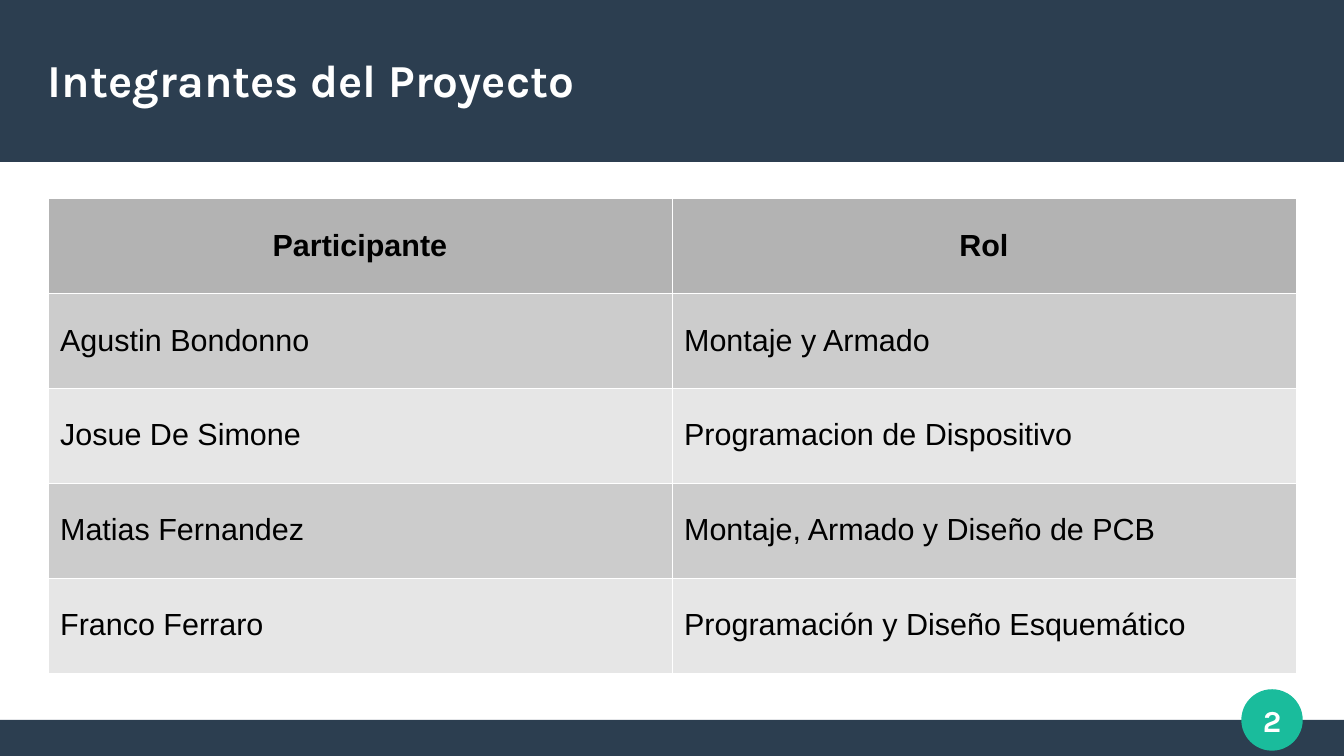
from lxml import etree
from pptx import Presentation
from pptx.dml.color import RGBColor
from pptx.enum.shapes import MSO_SHAPE
from pptx.enum.text import MSO_ANCHOR, MSO_AUTO_SIZE, PP_ALIGN
from pptx.oxml.ns import qn
from pptx.util import Pt

PX = 914400 // 122
RECTANGLE, OVAL = MSO_SHAPE.RECTANGLE, MSO_SHAPE.OVAL
MIDDLE = MSO_ANCHOR.MIDDLE
LEFT, CENTER = PP_ALIGN.LEFT, PP_ALIGN.CENTER
NO_AUTOFIT = MSO_AUTO_SIZE.NONE

COLORS = {
    "navy": "2C3E50",
    "green": "1ABC9C",
    "white": "FFFFFF",
    "black": "000000",
    "header": "B3B3B3",
    "odd": "CCCCCC",
    "even": "E6E6E6",
}
WIDTH, HEIGHT = 1344, 756
MARGIN = 48
COLUMN_WIDTH, ROW_HEIGHT = 624, 95
ROWS = [
    ("Participante", "Rol"),
    ("Agustin Bondonno", "Montaje y Armado"),
    ("Josue De Simone", "Programacion de Dispositivo"),
    ("Matias Fernandez", "Montaje, Armado y Diseño de PCB"),
    ("Franco Ferraro", "Programación y Diseño Esquemático"),
]


def rgb(name):
    return RGBColor.from_string(COLORS[name])


def write(frame, text, font_name, size, color, bold, align):
    frame.text = text
    para = frame.paragraphs[0]
    para.alignment = align
    para.font.name = font_name
    para.font.size = Pt(size)
    para.font.bold = bold
    para.font.color.rgb = rgb(color)


deck = Presentation()
deck.slide_width, deck.slide_height = WIDTH * PX, HEIGHT * PX
page = deck.slides.add_slide(deck.slide_layouts[5])

decorations = [
    (RECTANGLE, 0, 720, WIDTH, 36, "navy"),
    (RECTANGLE, 0, 0, WIDTH, 162, "navy"),
    (OVAL, 1242, 690, 60, 60, "green"),
]
for kind, left, top, width, height, color in decorations:
    shape = page.shapes.add_shape(kind, left * PX, top * PX, width * PX, height * PX)
    shape.shadow.inherit = False
    shape.fill.solid()
    shape.fill.fore_color.rgb = rgb(color)
    if kind == OVAL:
        shape.line.color.rgb = rgb(color)
        shape.line.width = Pt(0.85)
        badge = shape
    else:
        shape.line.fill.background()

title = page.shapes.title
title.left, title.top = MARGIN * PX, 31 * PX
title.width, title.height = 2 * COLUMN_WIDTH * PX, 96 * PX
page.shapes.element.append(title.element)

for box, text, size, align in [
    (badge, "2", 18, CENTER),
    (title, "Integrantes del Proyecto", 27, LEFT),
]:
    frame = box.text_frame
    frame.margin_left = frame.margin_right = frame.margin_top = frame.margin_bottom = 0
    frame.vertical_anchor = MIDDLE
    frame.auto_size = NO_AUTOFIT
    write(frame, text, "Karla", size, "white", True, align)

table = page.shapes.add_table(
    len(ROWS), 2, MARGIN * PX, 198 * PX, 2 * COLUMN_WIDTH * PX, len(ROWS) * ROW_HEIGHT * PX
).table
for row_index, texts in enumerate(ROWS):
    is_header = row_index == 0
    fill = "header" if is_header else "odd" if row_index % 2 else "even"
    for column_index, text in enumerate(texts):
        cell = table.cell(row_index, column_index)
        cell.vertical_anchor = MIDDLE
        properties = cell._tc.get_or_add_tcPr()
        for side in ("lnL", "lnR", "lnT", "lnB"):
            border = etree.SubElement(properties, qn(f"a:{side}"), w=str(Pt(0.06)))
            solid = etree.SubElement(border, qn("a:solidFill"))
            etree.SubElement(solid, qn("a:srgbClr"), val=COLORS["white"])
        cell.fill.solid()
        cell.fill.fore_color.rgb = rgb(fill)
        align = CENTER if is_header else LEFT
        write(cell.text_frame, text, "Arial", 18, "black", is_header, align)

deck.save("out.pptx")
